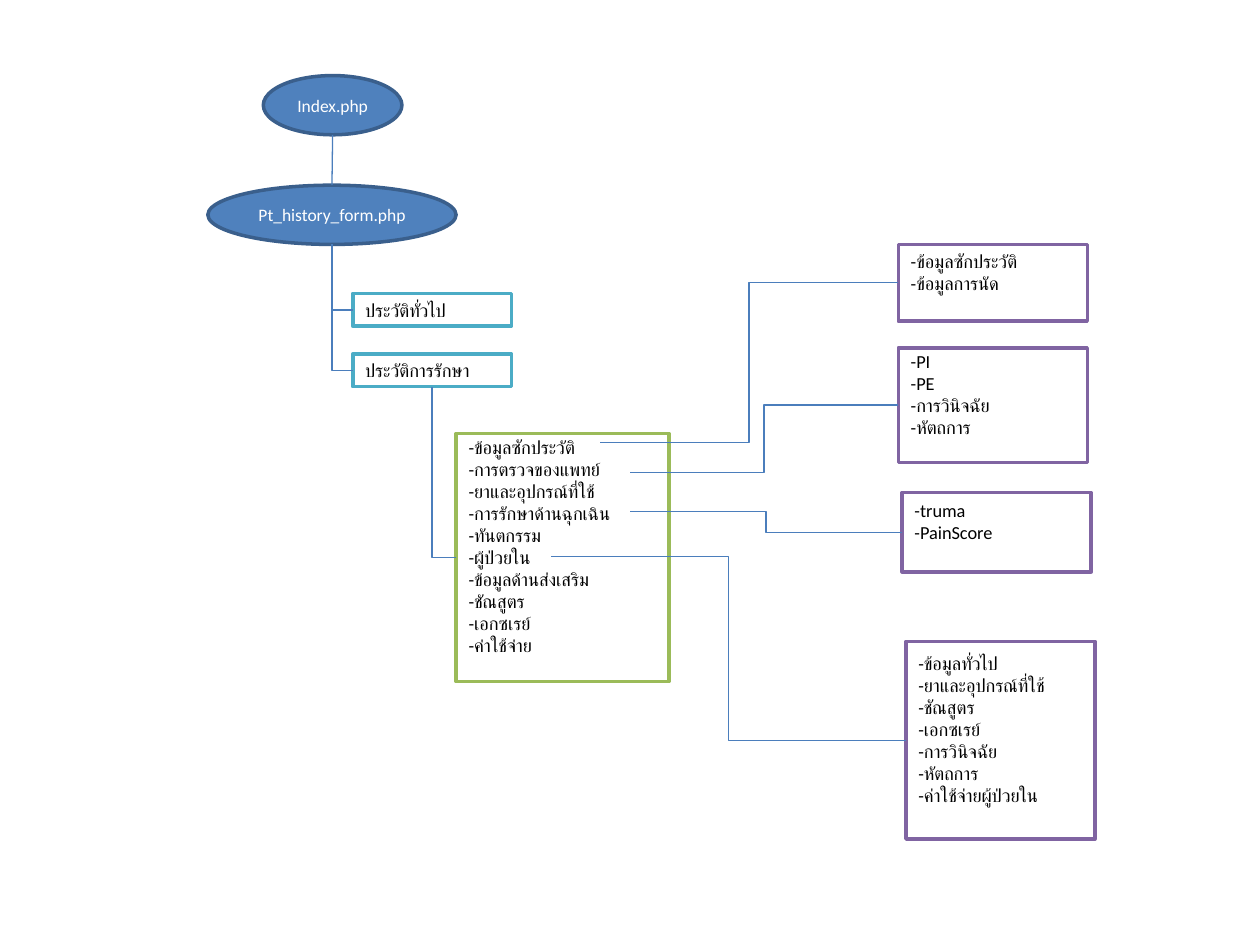
from lxml.etree import SubElement
from pptx import Presentation
from pptx.dml.color import RGBColor
from pptx.enum.shapes import MSO_CONNECTOR, MSO_SHAPE
from pptx.enum.text import MSO_ANCHOR, PP_ALIGN
from pptx.oxml.ns import qn
from pptx.util import Inches, Pt

LEFT_SITE = 1
LINE_HEIGHT = 0.175

# (text, left, top, width, height)
PAGES = [
    ("Index.php", 2.09, 0.6, 1.1, 0.47),
    ("Pt_history_form.php", 1.65, 1.47, 1.97, 0.47),
]
SECTIONS = [
    ("ประวัติทั่วไป", 2.8, 2.33, 1.26, 0.26),
    ("ประวัติการรักษา", 2.8, 2.81, 1.26, 0.26),
]
TREATMENT = ("""-ข้อมูลซักประวัติ
-การตรวจของแพทย์
-ยาและอุปกรณ์ที่ใช้
-การรักษาด้านฉุกเฉิน
-ทันตกรรม
-ผู้ป่วยใน
-ข้อมูลด้านส่งเสริม
-ชัณสูตร
-เอกซเรย์
-ค่าใช้จ่าย""", 3.62, 3.44, 1.69, 1.97)
# Each detail box, with the point in the treatment list it belongs to
DETAILS = [
    (("-ข้อมูลซักประวัติ\n-ข้อมูลการนัด", 7.13, 1.94, 1.5, 0.61), (4.76, 3.51)),
    (("-PI\n-PE\n-การวินิจฉัย\n-หัตถการ", 7.13, 2.76, 1.5, 0.91), (5, 3.75)),
    (("-truma\n-PainScore", 7.16, 3.91, 1.5, 0.63), (5, 4.06)),
    (("""-ข้อมูลทั่วไป
-ยาและอุปกรณ์ที่ใช้
-ชัณสูตร
-เอกซเรย์
-การวินิจฉัย
-หัตถการ
-ค่าใช้จ่ายผู้ป่วยใน""", 7.19, 5.09, 1.5, 1.57), (4.37, 4.42)),
]

PAGE = dict(shape=MSO_SHAPE.OVAL, fill="4F81BD", line="3A5F8C",
            color="FFFFFF", size=10, align=PP_ALIGN.CENTER)
BOX = dict(shape=MSO_SHAPE.RECTANGLE, fill="FFFFFF",
           color="000000", size=10.5, align=PP_ALIGN.LEFT)


def rgb(value):
    return RGBColor.from_string(value)


def add_node(node, style, space_below=0):
    text, *place = node
    sp = s.shapes.add_shape(style["shape"], *map(Inches, place))
    sp.shadow.inherit = False
    sp.fill.solid()
    sp.fill.fore_color.rgb = rgb(style["fill"])
    sp.line.color.rgb = rgb(style["line"])
    sp.line.width = Pt(2)
    tf = sp.text_frame
    frame = dict(text=text, word_wrap=True, vertical_anchor=MSO_ANCHOR.MIDDLE,
                 margin_top=0, margin_bottom=Inches(space_below))
    for name, value in frame.items():
        setattr(tf, name, value)
    for p in tf.paragraphs:
        p.alignment = style["align"]
        for r in p.runs:
            r.font.name = "Calibri"
            r.font.size = Pt(style["size"])
            r.font.color.rgb = rgb(style["color"])
    return sp


def bottom(sp):
    return sp.left + sp.width // 2, sp.top + sp.height


def add_line(kind, start, end):
    line = s.shapes.add_connector(kind, *start, *end)
    line.line.color.rgb = rgb("4B7EBC")
    line.line.width = Pt(0.75)
    SubElement(line._element.spPr, qn("a:effectLst"))
    return line


def add_elbow(box, end, preset="bentConnector3"):
    """Run from the left side of a box to a point; bentConnector2 turns once."""
    start = box.left, box.top + box.height // 2
    line = add_line(MSO_CONNECTOR.ELBOW, start, end)
    line._element.spPr.find(qn("a:prstGeom")).set("prst", preset)
    line.begin_connect(box, LEFT_SITE)


prs = Presentation()
prs.slide_width, prs.slide_height = Inches(10), Inches(7.5)
s = prs.slides.add_slide(prs.slide_layouts[6])

index, form = [add_node(node, PAGE) for node in PAGES]
sections = [add_node(node, BOX | {"line": "4BACC6"}) for node in SECTIONS]
treatment = add_node(TREATMENT, BOX | {"line": "9BBB59"}, LINE_HEIGHT)
details = [add_node(node, BOX | {"line": "8064A2"}, LINE_HEIGHT)
           for node, _ in DETAILS]

for box, (_, point) in zip(details, DETAILS):
    add_elbow(box, [Inches(v) for v in point])
add_line(MSO_CONNECTOR.STRAIGHT, bottom(index), (bottom(form)[0], form.top))
for box in sections:
    add_elbow(box, bottom(form), "bentConnector2")
add_elbow(treatment, bottom(sections[-1]), "bentConnector2")

prs.save("out.pptx")
